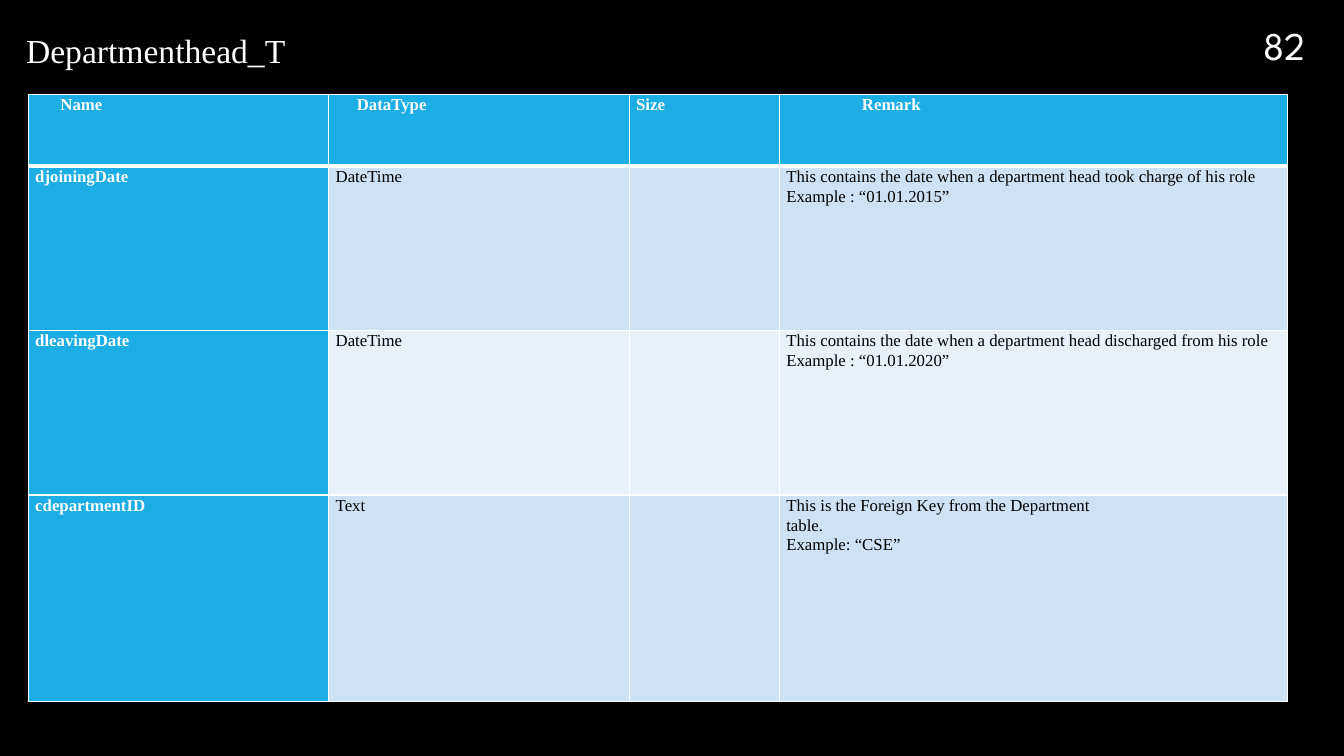
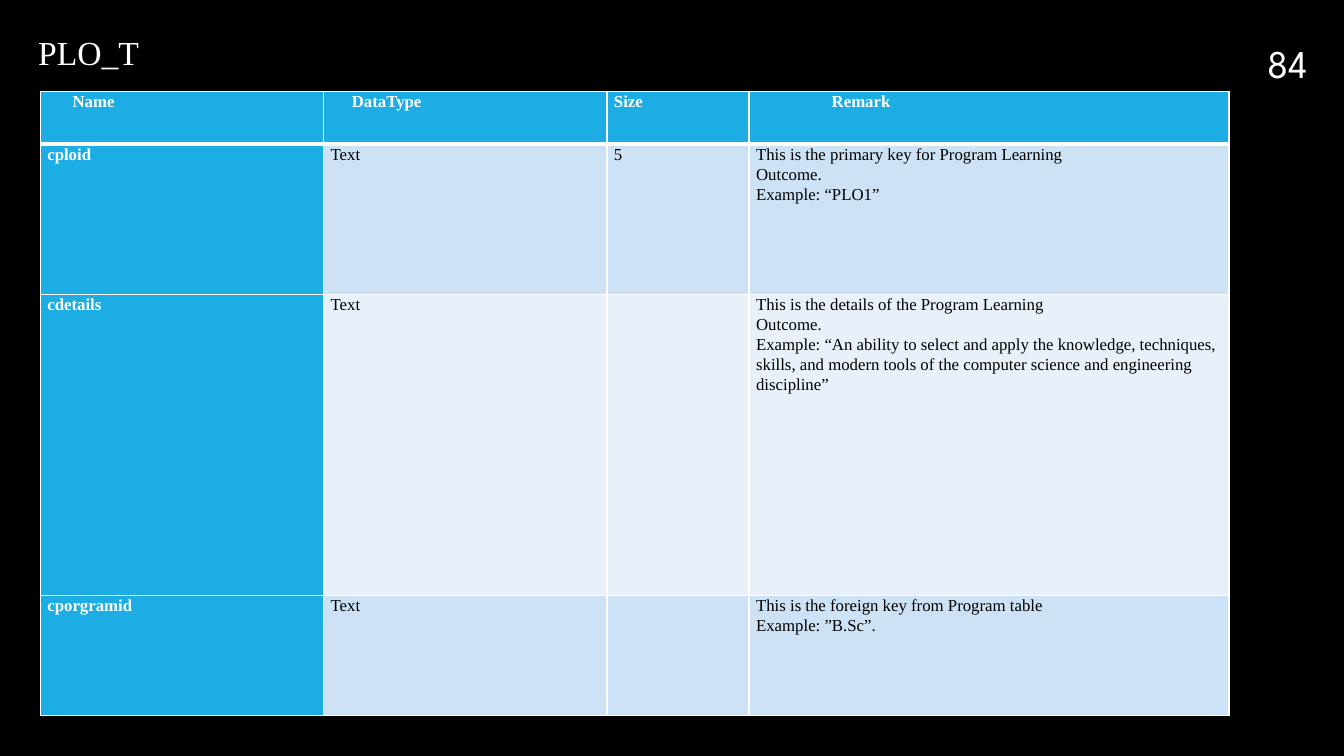
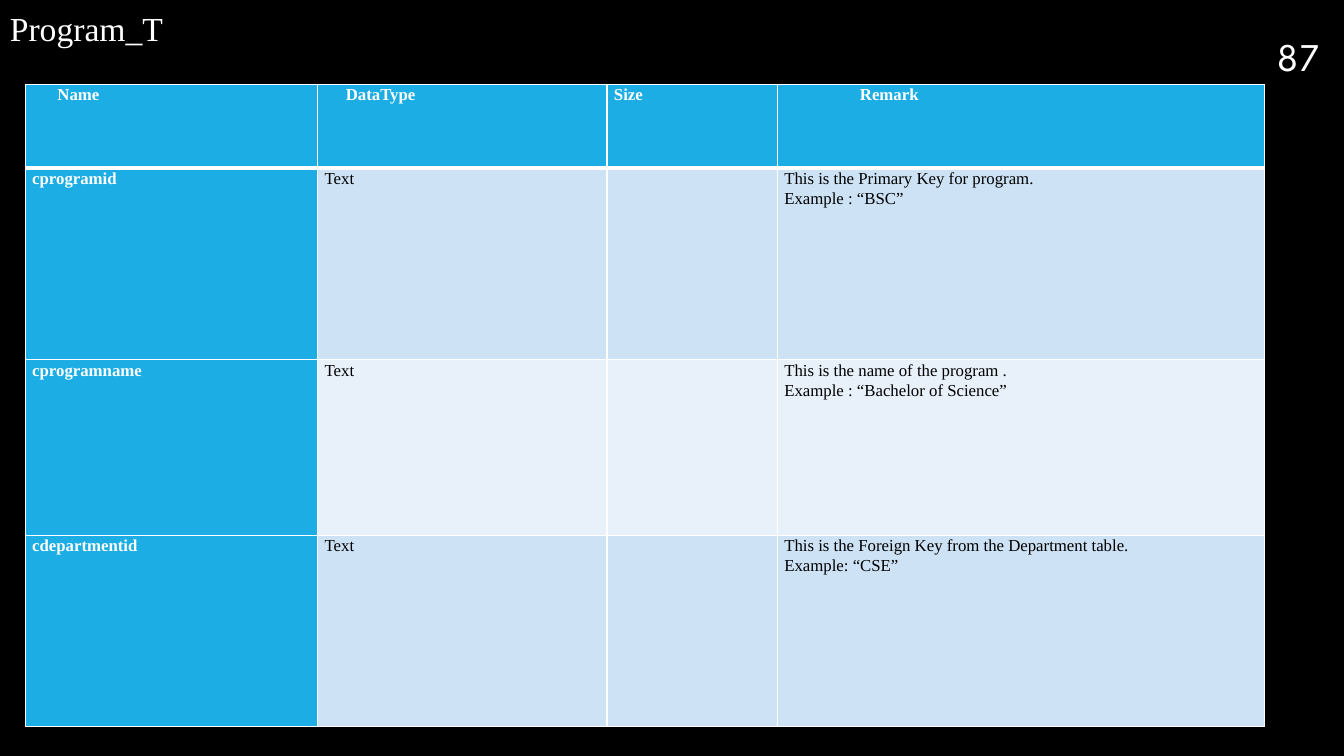
import pptx
import pptx.dml.color
import pptx.enum.text
import pptx.oxml
import pptx.oxml.ns
import pptx.util

Inches = pptx.util.Inches
Pt = pptx.util.Pt
RGBColor = pptx.dml.color.RGBColor

BLACK = RGBColor(0x00, 0x00, 0x00)
WHITE = RGBColor(0xFF, 0xFF, 0xFF)
ACCENT = RGBColor(0x1C, 0xAD, 0xE4)
BANDS = (RGBColor(0xCD, 0xE3, 0xF5), RGBColor(0xE8, 0xF1, 0xFA))

TEXT_FONT = "Times New Roman"
NUMBER_FONT = "League Spartan"
LINE_SPACING = 1.07
CELL_MARGIN = 0.07
HEADINGS = ("Name", "DataType", "Size", "Remark")
HEADING_INDENTS = (0.25, 0.21, 0, 0.75)

# Each row: name, data type, size, then the paragraphs of the remark.
SLIDES = [
    dict(
        number="82", number_at=(12.28, -0.11),
        title="Departmenthead_T", title_box=(0.16, 0.22, 2.88, 0.51),
        table_at=(0.28, 0.94),
        widths=(2.98, 2.98, 1.49, 5.04), heights=(0.71, 1.63, 1.63, 2.05),
        rows=[
            ("djoiningDate", "DateTime", "",
             "This contains the date when a department head took charge of his role",
             "Example : “01.01.2015”"),
            ("dleavingDate", "DateTime", "",
             "This contains the date when a department head discharged from his role",
             "Example : “01.01.2020”"),
            ("cdepartmentID", "Text", "",
             "This is the Foreign Key from the Department\ntable.\nExample: “CSE”"),
        ],
    ),
    dict(
        number="84", number_at=(12.31, 0.07),
        title="PLO_T", title_box=(0.28, 0.24, 1.21, 0.5),
        table_at=(0.4, 0.91),
        widths=(2.81, 2.81, 1.41, 4.76), heights=(0.52, 1.49, 2.99, 1.19),
        rows=[
            ("cploid", "Text", "5",
             "This is the primary key for Program Learning\nOutcome.\nExample: “PLO1”"),
            ("cdetails", "Text", "",
             "This is the details of the Program Learning\nOutcome.\n"
             "Example: “An ability to select and apply the knowledge, techniques, "
             "skills, and modern tools of the computer science and engineering "
             "discipline”"),
            ("cporgramid", "Text", "",
             "This is the foreign key from Program table\nExample: ”B.Sc”."),
        ],
    ),
    dict(
        number="87", number_at=(12.42, 0),
        title="Program_T", title_box=(0, 0, 1.73, 0.5),
        table_at=(0.25, 0.84),
        widths=(2.9, 2.87, 1.69, 4.83), heights=(0.83, 1.9, 1.74, 1.9),
        rows=[
            ("cprogramid", "Text", "",
             "This is the Primary Key for program.", "Example : “BSC”"),
            ("cprogramname", "Text", "",
             "This is the name of the program .",
             "Example : “Bachelor of Science”"),
            ("cdepartmentid", "Text", "",
             "This is the Foreign Key from the Department table.\nExample: “CSE”"),
        ],
    ),
]


class Deck:
    """Holds the shared style and the slide being built."""

    def __init__(self):
        self.prs = pptx.Presentation()
        self.prs.slide_width = Inches(13.33)
        self.prs.slide_height = Inches(7.5)
        self.s = None

    def new_slide(self):
        self.s = self.prs.slides.add_slide(self.prs.slide_layouts[6])
        fill = self.s.background.fill
        fill.solid()
        fill.fore_color.rgb = BLACK

    def add_text(self, p, text, size, color, font=TEXT_FONT, bold=False):
        """Add text to a paragraph, with a line break at each newline."""
        for i, line in enumerate(text.split("\n")):
            if i:
                p.add_line_break()
            r = p.add_run()
            r.text = line
            r.font.name = font
            r.font.size = Pt(size)
            r.font.bold = bold
            r.font.color.rgb = color

    def text_box(self, box):
        return self.s.shapes.add_textbox(*map(Inches, box)).text_frame

    def slide_number(self, number, at):
        tf = self.text_box((*at, 0.92, 0.84))
        tf.word_wrap = True
        tf.vertical_anchor = pptx.enum.text.MSO_ANCHOR.BOTTOM
        p = tf.paragraphs[0]
        p.alignment = pptx.enum.text.PP_ALIGN.CENTER
        self.add_text(p, number, 28, WHITE, NUMBER_FONT)

    def title(self, text, box):
        tf = self.text_box(box)
        tf.word_wrap = False
        tf.auto_size = pptx.enum.text.MSO_AUTO_SIZE.SHAPE_TO_FIT_TEXT
        p = tf.paragraphs[0]
        p.line_spacing = LINE_SPACING
        p.space_after = Pt(8)
        self.add_text(p, text, 24, WHITE)

    def borders(self, cell, top, bottom):
        """Draw white cell borders; top and bottom widths are in points."""
        tcPr = cell._tc.get_or_add_tcPr()
        for side, width in (("L", 1), ("R", 1), ("T", top), ("B", bottom)):
            tcPr.append(pptx.oxml.parse_xml(
                f'<a:ln{side} {pptx.oxml.ns.nsdecls("a")} w="{Pt(width)}">'
                f'<a:solidFill><a:srgbClr val="{WHITE}"/></a:solidFill>'
                f'</a:ln{side}>'))

    def cell(self, cell, paragraphs, row, col):
        strong = row == 0 or col == 0
        indent = HEADING_INDENTS[col] if row == 0 else 0
        self.borders(cell, top=3 if row == 1 else 1, bottom=3 if row == 0 else 1)
        cell.fill.solid()
        cell.fill.fore_color.rgb = ACCENT if strong else BANDS[(row - 1) % 2]
        cell.margin_left = Inches(CELL_MARGIN + indent)
        cell.margin_right = Inches(CELL_MARGIN)
        cell.margin_top = cell.margin_bottom = 0
        tf = cell.text_frame
        for i, text in enumerate(paragraphs):
            p = tf.add_paragraph() if i else tf.paragraphs[0]
            p.line_spacing = LINE_SPACING
            if text:
                self.add_text(p, text, 12, WHITE if strong else BLACK, bold=strong)

    def table(self, at, widths, heights, rows):
        size = (sum(widths), sum(heights))
        table = self.s.shapes.add_table(
            len(heights), len(widths), *map(Inches, at + size)).table
        for column, width in zip(table.columns, widths):
            column.width = Inches(width)
        for row, height in zip(table.rows, heights):
            row.height = Inches(height)
        for i, (name, data_type, length, *remark) in enumerate([HEADINGS, *rows]):
            for j, paragraphs in enumerate(([name], [data_type], [length], remark)):
                self.cell(table.cell(i, j), paragraphs, i, j)


def main():
    deck = Deck()
    for d in SLIDES:
        deck.new_slide()
        deck.slide_number(d["number"], d["number_at"])
        deck.title(d["title"], d["title_box"])
        deck.table(d["table_at"], d["widths"], d["heights"], d["rows"])
    deck.prs.save("out.pptx")


if __name__ == "__main__":
    main()
